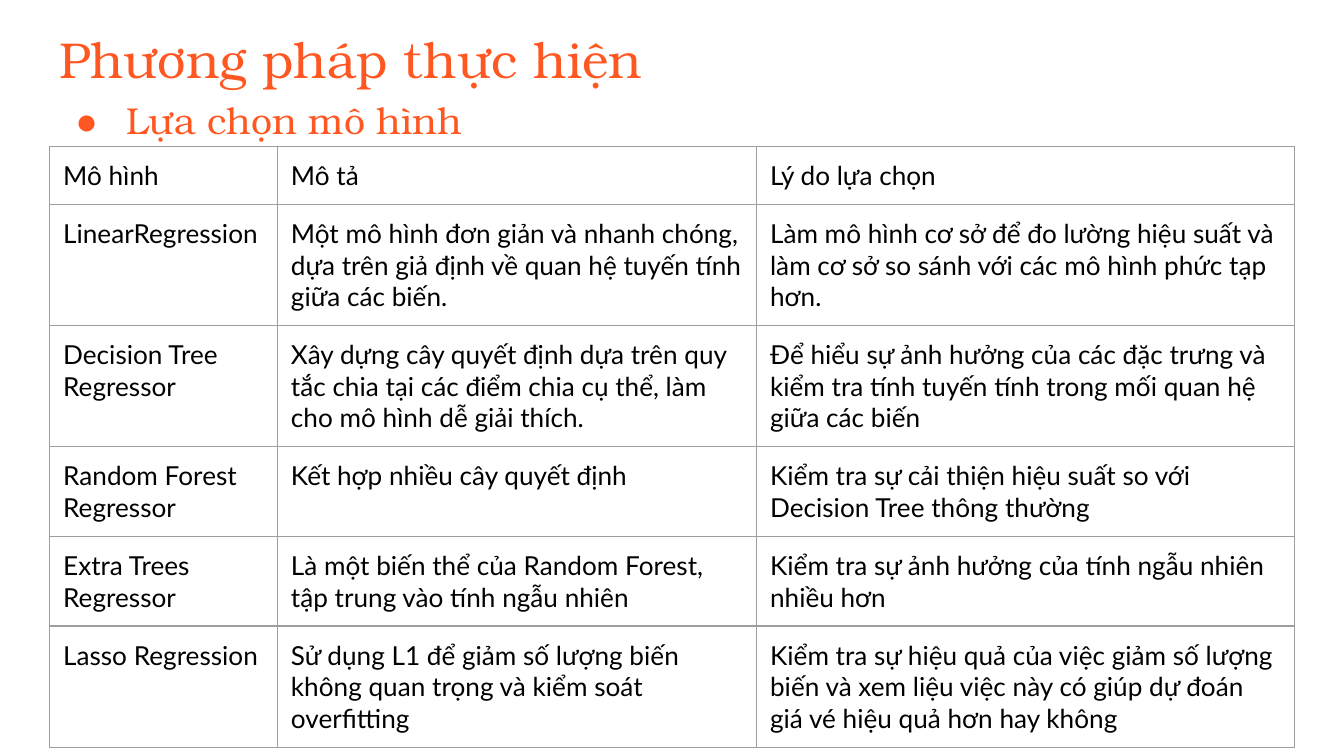
from lxml import etree
from pptx import Presentation
from pptx.dml.color import RGBColor
from pptx.enum.text import MSO_ANCHOR
from pptx.oxml.ns import qn
from pptx.util import Inches, Pt

TOP = MSO_ANCHOR.TOP
THEME = {
    "title": {"name": "TeX Gyre Bonum", "size": Pt(27), "color": "FF5722"},
    "subtitle": {"name": "TeX Gyre Bonum", "size": Pt(20), "color": "FF5722"},
    "cell": {"name": "Lato", "size": Pt(14), "color": "000000"},
    "border": "9E9E9E",
    "border_width": Pt(0.75),
    "inset": Inches(0.1),
}

# A widescreen page, 16 by 9
deck = Presentation()
deck.slide_width = Inches(10)
deck.slide_height = deck.slide_width * 9 // 16
page = deck.slides.add_slide(deck.slide_layouts[6])

# Lengths are percentages of the slide: one column or row is one percent
COLUMN = deck.slide_width / 100
ROW = deck.slide_height / 100


def write(frame, text, style):
    """Put one styled paragraph into a text frame."""
    para = frame.paragraphs[0]
    span = para.add_run()
    span.text = text
    for key in ("name", "size"):
        setattr(span.font, key, THEME[style][key])
    span.font.color.rgb = RGBColor.from_string(THEME[style]["color"])
    return para


def add_child(parent, tag, **attributes):
    return etree.SubElement(parent, qn(tag), attributes)


# Title and bulleted subtitle
headings = [
    ("Phương pháp thực hiện", "title", 2, 93.2),
    ("Lựa chọn mô hình", "subtitle", 11.08, 52.9),
]
for text, style, top, width in headings:
    box = page.shapes.add_textbox(
        int(3.41 * COLUMN), int(top * ROW), int(width * COLUMN), int(11.2 * ROW))
    frame = box.text_frame
    layout = {"word_wrap": True, "vertical_anchor": TOP}
    layout.update({f"margin_{side}": THEME["inset"]
                   for side in ("left", "right", "top", "bottom")})
    for key, value in layout.items():
        setattr(frame, key, value)
    para = write(frame, text, style)
    if style == "subtitle":
        properties = para._p.get_or_add_pPr()
        properties.set("marL", str(int(5 * COLUMN)))
        properties.set("indent", str(int(-3.9 * COLUMN)))
        bullet_color = add_child(properties, "a:buClr")
        add_child(bullet_color, "a:srgbClr", val=THEME[style]["color"])
        add_child(properties, "a:buFont", typeface=THEME[style]["name"])
        add_child(properties, "a:buChar", char="●")

# Model table
models = [
    ("Mô hình", "Mô tả", "Lý do lựa chọn"),
    ("LinearRegression",
     "Một mô hình đơn giản và nhanh chóng, dựa trên giả định về quan hệ tuyến tính giữa các biến.",
     "Làm mô hình cơ sở để đo lường hiệu suất và làm cơ sở so sánh với các mô hình phức tạp hơn."),
    ("Decision Tree Regressor",
     "Xây dựng cây quyết định dựa trên quy tắc chia tại các điểm chia cụ thể, làm cho mô hình dễ giải thích.",
     "Để hiểu sự ảnh hưởng của các đặc trưng và kiểm tra tính tuyến tính trong mối quan hệ giữa các biến"),
    ("Random Forest Regressor",
     "Kết hợp nhiều cây quyết định",
     "Kiểm tra sự cải thiện hiệu suất so với Decision Tree thông thường"),
    ("Extra Trees Regressor",
     "Là một biến thể của Random Forest, tập trung vào tính ngẫu nhiên",
     "Kiểm tra sự ảnh hưởng của tính ngẫu nhiên nhiều hơn"),
    ("Lasso Regression",
     "Sử dụng L1 để giảm số lượng biến không quan trọng và kiểm soát overfitting",
     "Kiểm tra sự hiệu quả của việc giảm số lượng biến và xem liệu việc này có giúp dự đoán giá vé hiệu quả hơn hay không"),
]
column_widths = [16.95, 35.65, 40]
row_heights = [7.5] + [11.55] * (len(models) - 1)
table = page.shapes.add_table(
    len(models), len(column_widths), int(3.7 * COLUMN), int(19.35 * ROW),
    int(sum(column_widths) * COLUMN), int(sum(row_heights) * ROW)).table
table.first_row = table.horz_banding = False
for column, width in zip(table.columns, column_widths):
    column.width = int(width * COLUMN)

for row, height, texts in zip(table.rows, row_heights, models):
    row.height = int(height * ROW)
    for cell, text in zip(row.cells, texts):
        cell.margin_left = cell.margin_right = THEME["inset"]
        cell.margin_top = cell.margin_bottom = THEME["inset"]
        cell.vertical_anchor = TOP
        write(cell.text_frame, text, "cell")
        # Borders come before the fill in the cell properties
        properties = cell._tc.get_or_add_tcPr()
        for side in ("a:lnL", "a:lnR", "a:lnT", "a:lnB"):
            line = add_child(properties, side, w=str(THEME["border_width"]))
            add_child(add_child(line, "a:solidFill"), "a:srgbClr", val=THEME["border"])
        cell.fill.background()

deck.save("out.pptx")
